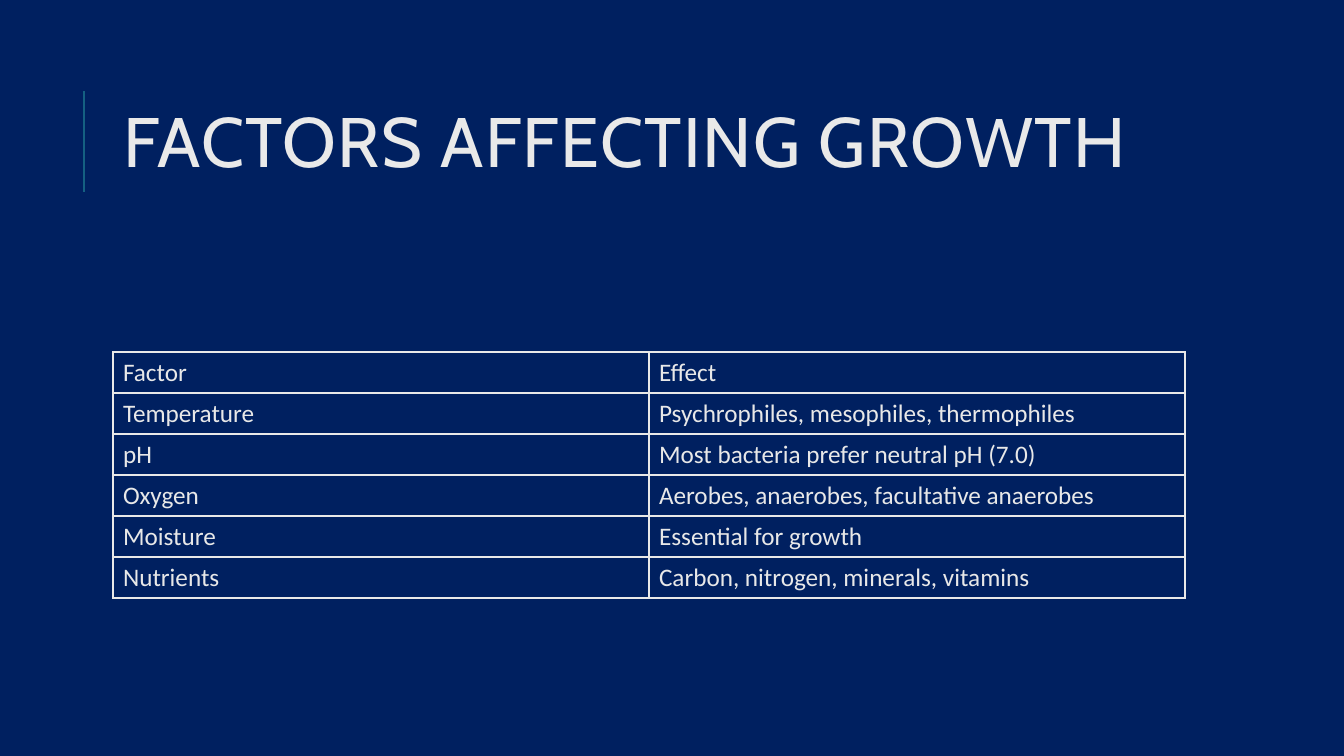
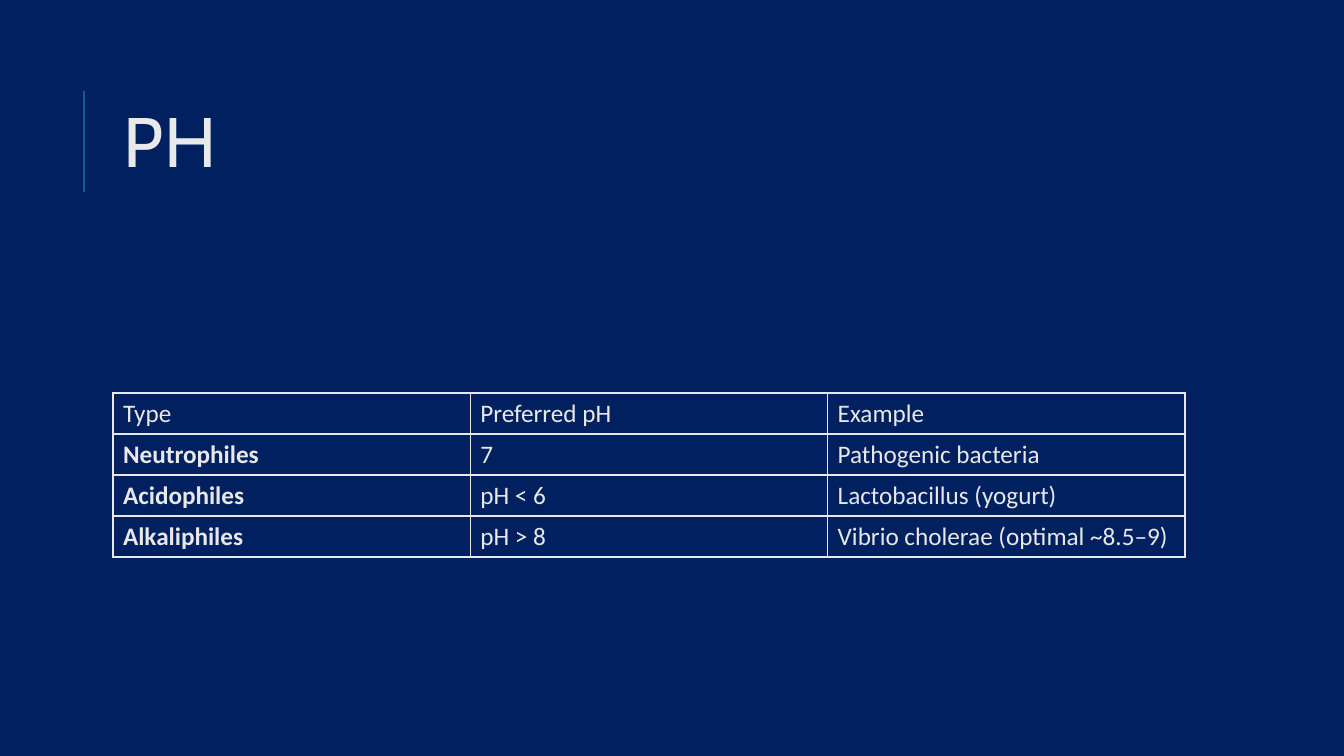
from lxml import etree
from pptx import Presentation
from pptx import util as u
from pptx.dml.color import RGBColor
from pptx.enum import shapes, text
from pptx.oxml import ns

NAVY = RGBColor(0x00, 0x20, 0x60)
TEAL = RGBColor(0x15, 0x60, 0x82)
TITLE_GREY = RGBColor(0xE9, 0xE9, 0xE9)
TABLE_GREY = RGBColor(0xE8, 0xE8, 0xE8)

SLIDES = [
    {
        "title": "FACTORS AFFECTING GROWTH",
        "bold_labels": False,
        "rows": [
            ("Factor", "Effect"),
            ("Temperature", "Psychrophiles, mesophiles, thermophiles"),
            ("pH", "Most bacteria prefer neutral pH (7.0)"),
            ("Oxygen", "Aerobes, anaerobes, facultative anaerobes"),
            ("Moisture", "Essential for growth"),
            ("Nutrients", "Carbon, nitrogen, minerals, vitamins"),
        ],
    },
    {
        "title": "PH",
        "bold_labels": True,
        "rows": [
            ("Type", "Preferred pH", "Example"),
            ("Neutrophiles", "7", "Pathogenic bacteria"),
            ("Acidophiles", "pH < 6", "Lactobacillus (yogurt)"),
            ("Alkaliphiles", "pH > 8", "Vibrio cholerae (optimal ~8.5–9)"),
        ],
    },
]

SLIDE_WIDTH, SLIDE_HEIGHT = 1344, 756
LEFT, WIDTH = 113, 1072
TITLE_TOP, TITLE_HEIGHT = 65, 165
RULE_X, RULE_TOP, RULE_BOTTOM = 84, 91, 192
TABLE_MIDDLE, ROW_HEIGHT = 475, 41

TITLE_FONT = {"name": "Cabin", "size": u.Pt(50), "bold": False}
TABLE_FONT = {"name": "Calibri", "size": u.Pt(18)}
TITLE_FRAME = {
    "word_wrap": True,
    "auto_size": text.MSO_AUTO_SIZE.NONE,
    "vertical_anchor": text.MSO_ANCHOR.MIDDLE,
}
TITLE_PARA = {"alignment": text.PP_ALIGN.LEFT, "line_spacing": 0.8}
TABLE_FLAGS = {"first_row": False, "horz_banding": False}


def px(length):
    return u.Emu(round(length * 914400 / 100.8))


def assign(target, values):
    for name, value in values.items():
        setattr(target, name, value)


def add_rule(page):
    rule = page.shapes.add_connector(
        shapes.MSO_CONNECTOR.STRAIGHT,
        px(RULE_X), px(RULE_BOTTOM), px(RULE_X), px(RULE_TOP),
    )
    rule.line.color.rgb = TEAL
    rule.line.width = u.Pt(1.5)
    etree.SubElement(rule._element.spPr, ns.qn("a:effectLst"))


def set_title(page, wording):
    title = page.shapes.title
    assign(title, {
        "left": px(LEFT), "top": px(TITLE_TOP),
        "width": px(WIDTH), "height": px(TITLE_HEIGHT),
    })
    assign(title.text_frame, TITLE_FRAME)
    para = title.text_frame.paragraphs[0]
    assign(para, TITLE_PARA)
    span = para.add_run()
    span.text = wording
    assign(span.font, TITLE_FONT)
    span.font.color.rgb = TITLE_GREY
    span._r.get_or_add_rPr().set("spc", "100")


def add_borders(cell):
    properties = cell._tc.get_or_add_tcPr()
    for side in ("lnL", "lnR", "lnT", "lnB"):
        border = etree.SubElement(properties, ns.qn(f"a:{side}"), w=str(u.Pt(1)))
        fill = etree.SubElement(border, ns.qn("a:solidFill"))
        etree.SubElement(fill, ns.qn("a:srgbClr"), val=str(TABLE_GREY))


def format_cell(cell, wording, bold):
    add_borders(cell)
    cell.fill.background()
    cell.vertical_anchor = text.MSO_ANCHOR.MIDDLE
    span = cell.text_frame.paragraphs[0].add_run()
    span.text = wording
    assign(span.font, TABLE_FONT)
    span.font.bold = bold
    span.font.color.rgb = TABLE_GREY


def add_grid(page, rows, bold_labels):
    height = len(rows) * ROW_HEIGHT
    table = page.shapes.add_table(
        len(rows), len(rows[0]),
        px(LEFT), px(TABLE_MIDDLE - height / 2), px(WIDTH), px(height),
    ).table
    assign(table, TABLE_FLAGS)
    for row_index, row in enumerate(rows):
        for column_index, wording in enumerate(row):
            bold = bold_labels and row_index > 0 and column_index == 0
            format_cell(table.cell(row_index, column_index), wording, bold)


def main():
    deck = Presentation()
    deck.slide_width, deck.slide_height = px(SLIDE_WIDTH), px(SLIDE_HEIGHT)
    background = deck.slide_master.background.fill
    background.solid()
    background.fore_color.rgb = NAVY
    layout = deck.slide_layouts.get_by_name("Title Only")
    for content in SLIDES:
        page = deck.slides.add_slide(layout)
        add_rule(page)
        set_title(page, content["title"])
        add_grid(page, content["rows"], content["bold_labels"])
    deck.save("out.pptx")


if __name__ == "__main__":
    main()
